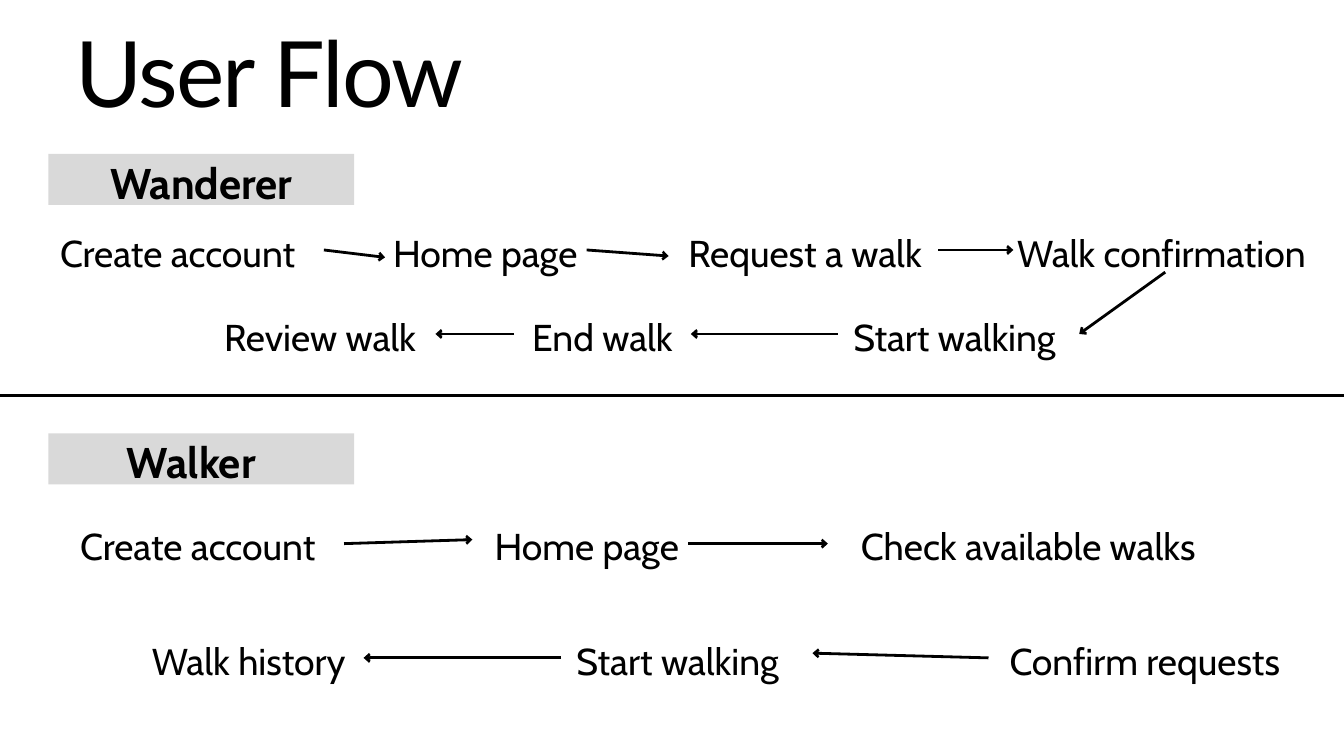
from itertools import pairwise
from typing import NamedTuple

from lxml.etree import SubElement
from pptx import Presentation
from pptx.dml.color import RGBColor
from pptx.enum.shapes import MSO_CONNECTOR, MSO_SHAPE
from pptx.enum.text import MSO_ANCHOR, MSO_AUTO_SIZE, PP_ALIGN
from pptx.oxml.ns import qn
from pptx.util import Pt

PX = 9144  # EMU, 100 px to the inch
WIDTH, HEIGHT = 2000, 1125
BLACK, GRAY, WHITE = "000000", "D9D9D9", "FFFFFF"
STEP_HEIGHT, LABEL_HEIGHT = 74, 85
ARROW_Y = 41  # below the top of a row


class Step(NamedTuple):
    text: str
    left: int
    width: int
    tip_dx: int = 0  # shift of the incoming arrow tip from the facing edge
    tip_dy: int = 0

    @property
    def right(self):
        return self.left + self.width


def color(hex_string):
    return RGBColor.from_string(hex_string)


def emu(*lengths):
    return [length * PX for length in lengths]


def set_text(shape, text, font_name, size, line_height, alignment, bold=False):
    frame = shape.text_frame
    frame.margin_left = frame.margin_right = 0
    frame.margin_top = frame.margin_bottom = 0
    frame.word_wrap = True
    frame.auto_size = MSO_AUTO_SIZE.NONE
    frame.vertical_anchor = MSO_ANCHOR.TOP
    paragraph = frame.paragraphs[0]
    paragraph.text = text
    paragraph.alignment = alignment
    paragraph.line_spacing = Pt(line_height)
    paragraph.font.name = font_name
    paragraph.font.size = Pt(size)
    paragraph.font.bold = bold
    paragraph.font.color.rgb = color(BLACK)
    return paragraph


def add_label(slide, left, top, width, height, text, size, line_height, bold=False):
    box = slide.shapes.add_textbox(*emu(left, top, width, height))
    set_text(box, text, "Cabin", size, line_height, PP_ALIGN.CENTER, bold)


def add_line(slide, start, end, arrow=False):
    line = slide.shapes.add_connector(MSO_CONNECTOR.STRAIGHT, *emu(*start, *end))
    line.line.color.rgb = color(BLACK)
    line.line.width = Pt(3)
    if arrow:
        SubElement(line.line._get_or_add_ln(), qn("a:tailEnd"),
                   type="arrow", w="med", len="sm")
    SubElement(line._element.spPr, qn("a:effectLst"))


def add_title(slide, left, top, width, height, text):
    title = slide.shapes.title
    title.left, title.top, title.width, title.height = emu(left, top, width, height)
    paragraph = set_text(title, text, "Lato", 98, 98, PP_ALIGN.LEFT)
    paragraph.runs[0]._r.get_or_add_rPr().set("spc", "-200")


def add_row(slide, top, steps):
    """Place the steps of one row, joined by arrows in reading order of the flow."""
    for step in steps:
        add_label(slide, step.left, top, step.width, STEP_HEIGHT, step.text, 40, 56)
    for step, following in pairwise(steps):
        if step.left < following.left:
            start_x, tip_x = step.right, following.left
        else:
            start_x, tip_x = step.left, following.right
        add_line(slide, (start_x, top + ARROW_Y),
                 (tip_x + following.tip_dx, top + ARROW_Y + following.tip_dy),
                 arrow=True)


def add_flow(slide, top, name, name_left, rows, turns=False):
    """Place a user's heading and rows; turns joins the two rows with an arrow."""
    band = slide.shapes.add_shape(MSO_SHAPE.RECTANGLE, *emu(72, top, 455, 76))
    band.shadow.inherit = False
    band.fill.solid()
    band.fill.fore_color.rgb = color(GRAY)
    band.line.fill.background()
    add_label(slide, name_left, top - 9, 425, LABEL_HEIGHT, name, 46, 64.4, bold=True)
    for offset, steps in rows:
        add_row(slide, top + offset, steps)
    if turns:
        (upper, first_steps), (lower, next_steps) = rows
        last = first_steps[-1]
        add_line(slide, (last.left + last.width // 2, top + upper + STEP_HEIGHT),
                 (next_steps[0].right, top + lower + ARROW_Y), arrow=True)


WANDERER_ROWS = [
    (102, [Step("Create account ", 59, 423),
           Step("Home page", 571, 302, 2, 11),
           Step("Request a walk", 1000, 396, -5, 9),
           Step("Walk confirmation ", 1485, 499, 23)]),
    (227, [Step("Start walking ", 1247, 359),
           Step("End walk", 765, 263),
           Step("Review walk ", 317, 331)]),
]
WALKER_ROWS = [
    (123, [Step("Create account ", 89, 423),
           Step("Home page", 722, 302, -19, -6),
           Step("Check available walks", 1232, 596)]),
    (293, [Step("Confirm requests", 1471, 465),
           Step("Start walking ", 835, 359, 15, -7),
           Step("Walk history", 199, 342)]),
]


def main():
    presentation = Presentation()
    presentation.slide_width, presentation.slide_height = emu(WIDTH, HEIGHT)
    slide = presentation.slides.add_slide(presentation.slide_layouts[5])
    slide.background.fill.solid()
    slide.background.fill.fore_color.rgb = color(WHITE)

    add_title(slide, 112, 51, 609, 143, "User Flow")
    add_flow(slide, 229, "Wanderer", 87, WANDERER_ROWS, turns=True)
    add_line(slide, (0, 588), (WIDTH, 588))
    add_flow(slide, 645, "Walker", 72, WALKER_ROWS)
    presentation.save("out.pptx")


if __name__ == "__main__":
    main()
